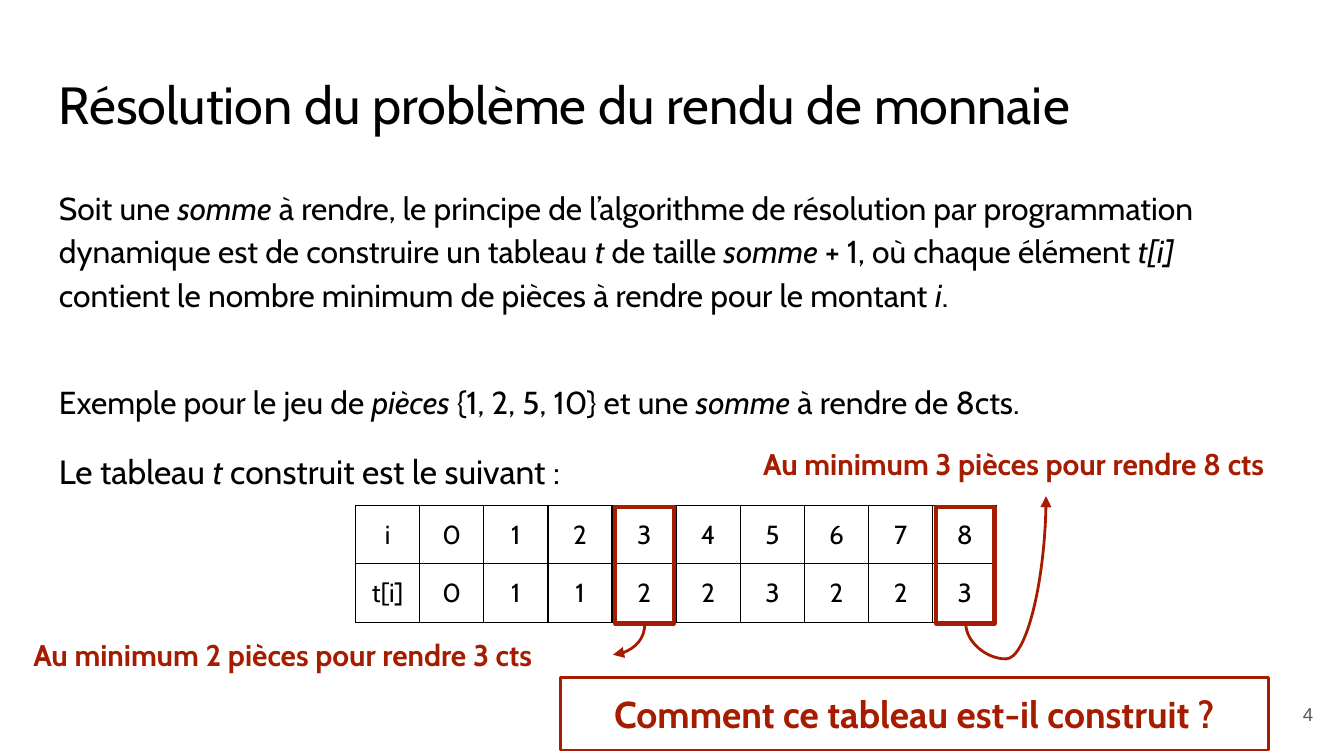
import pptx
import pptx.dml.color
import pptx.enum.shapes
import pptx.enum.text
import pptx.oxml
import pptx.oxml.ns
import pptx.util

Pt = pptx.util.Pt
ALIGN = pptx.enum.text.PP_ALIGN
ANCHOR = pptx.enum.text.MSO_ANCHOR
BLACK, RED, GREY = "000000", "A61C00", "595959"
NS = pptx.oxml.ns.nsdecls("a")
INSET = 7.2


def color(value):
    return pptx.dml.color.RGBColor.from_string(value)


def write(tf, text, size, fill=BLACK, font="Cabin", bold=None, paragraph=None,
          anchor=ANCHOR.TOP, margins=(INSET, INSET)):
    """Fill a text frame; parts between asterisks are italic."""
    side, edge = margins
    frame = {"word_wrap": True, "vertical_anchor": anchor,
             "margin_left": Pt(side), "margin_right": Pt(side),
             "margin_top": Pt(edge), "margin_bottom": Pt(edge)}
    for name, value in frame.items():
        setattr(tf, name, value)
    p = tf.paragraphs[0]
    for name, value in (paragraph or {}).items():
        setattr(p, name, value)
    for i, part in enumerate(text.split("*")):
        if not part:
            continue
        r = p.add_run()
        r.text = part
        style = {"name": font, "size": Pt(size), "bold": bold, "italic": i % 2 == 1}
        for name, value in style.items():
            setattr(r.font, name, value)
        r.font.color.rgb = color(fill)


def add_text(s, box, text, size, **style):
    sp = s.shapes.add_textbox(*map(Pt, box))
    write(sp.text_frame, text, size, **style)


def add_frame(s, box, weight):
    sp = s.shapes.add_shape(pptx.enum.shapes.MSO_SHAPE.RECTANGLE, *map(Pt, box))
    sp.shadow.inherit = False
    sp.fill.background()
    sp.line.color.rgb = color(RED)
    sp.line.width = Pt(weight)
    return sp


def add_curved_arrow(s, box, preset, turn, bend=None):
    """Draw a curved connector in a box that is then turned about its centre."""
    x, y, w, h = box
    c = s.shapes.add_connector(pptx.enum.shapes.MSO_CONNECTOR.CURVE,
                               Pt(x), Pt(y), Pt(x + w), Pt(y + h))
    c.line.color.rgb = color(RED)
    c.line.width = Pt(1.5)
    props = c._element.spPr
    props.find(pptx.oxml.ns.qn("a:xfrm")).set("rot", str(turn * 60000))
    geom = props.find(pptx.oxml.ns.qn("a:prstGeom"))
    geom.set("prst", preset)
    if bend is not None:
        guides = geom.find(pptx.oxml.ns.qn("a:avLst"))
        guides.append(pptx.oxml.parse_xml(f'<a:gd {NS} name="adj1" fmla="val {bend}"/>'))
    props.find(pptx.oxml.ns.qn("a:ln")).append(
        pptx.oxml.parse_xml(f'<a:tailEnd {NS} type="triangle"/>'))
    props.append(pptx.oxml.parse_xml(f"<a:effectLst {NS}/>"))


def border_cell(cell):
    tc_pr = cell._tc.get_or_add_tcPr()
    for i, side in enumerate(("lnL", "lnR", "lnT", "lnB")):
        tc_pr.insert(i, pptx.oxml.parse_xml(
            f'<a:{side} {NS} w="{Pt(0.75)}"><a:solidFill><a:srgbClr val="{BLACK}"/>'
            f"</a:solidFill></a:{side}>"))


def add_coin_table(s, box, rows, highlighted):
    x, y, w, h = box
    col_w, row_h = w / len(rows[0]), h / len(rows)
    table = s.shapes.add_table(len(rows), len(rows[0]), *map(Pt, box)).table
    table.first_row = table.horz_banding = False
    for col in table.columns:
        col.width = Pt(col_w)
    for r, values in enumerate(rows):
        table.rows[r].height = Pt(row_h)
        for c, value in enumerate(values):
            cell = table.cell(r, c)
            cell.fill.background()
            border_cell(cell)
            cell.vertical_anchor = ANCHOR.MIDDLE
            write(cell.text_frame, value, 14, paragraph={"alignment": ALIGN.CENTER},
                  anchor=ANCHOR.MIDDLE, margins=(INSET, INSET / 2))
    # Frames around the columns that are explained
    for c in highlighted:
        add_frame(s, (x + c * col_w + 1.7, y + 0.7, 31.4, h), 2.25)


def add_explanation(s, box):
    x, y, w, h = box
    spaced = {"line_spacing": 1.15, "space_after": Pt(12)}
    add_text(s, (x, y, w, 111.6),
             "Soit une *somme* à rendre, le principe de l’algorithme de résolution par "
             "programmation dynamique est de construire un tableau *t* de taille *somme* + 1, "
             "où chaque élément *t[i]* contient le nombre minimum de pièces à rendre pour "
             "le montant *i*.", 17, paragraph=spaced)
    add_text(s, (x, y + 104.4, w, 38.2),
             "Exemple pour le jeu de *pièces* {1, 2, 5, 10} et une *somme* à rendre de 8cts.",
             17, paragraph=spaced)
    add_text(s, (x, y + h - 39.6, w, 39.6),
             "Le tableau *t* construit est le suivant :", 18, paragraph=spaced)


def add_notes_on_table(s, box):
    x, y, w, h = box
    note_w, note_h = 316.8, 52.6
    add_text(s, (x, y + h - note_h, note_w, note_h),
             "Au minimum 2 pièces pour rendre 3 cts", 16, fill=RED, bold=True)
    add_text(s, (x + w - note_w, y, note_w, note_h),
             "Au minimum 3 pièces pour rendre 8 cts", 16, fill=RED, bold=True)
    add_curved_arrow(s, (x + 317.8, y + 102.2, 16.6, 17), "curvedConnector2", 90)
    add_curved_arrow(s, (x + 493.9, y + 46.7, 68.4, 43), "curvedConnector3", 270, -27500)


def add_question(s, box):
    sp = add_frame(s, box, 1.5)
    write(sp.text_frame, "Comment ce tableau est-il construit ?", 20, fill=RED, bold=True,
          paragraph={"alignment": ALIGN.CENTER}, anchor=ANCHOR.MIDDLE)


def main():
    prs = pptx.Presentation()
    prs.slide_width, prs.slide_height = Pt(720), Pt(405)
    s = prs.slides.add_slide(prs.slide_layouts[6])

    # Title and explanation
    add_text(s, (24.5, 35.3, 671, 45.4), "Résolution du problème du rendu de monnaie", 28,
             paragraph={"line_spacing": 0.9})
    add_explanation(s, (24.5, 90.7, 671, 180))

    # Table of minimum coin counts
    rows = [["i", *"012345678"], ["t[i]", *"011223223"]]
    add_coin_table(s, (190.5, 270.8, 343.6, 62.6), rows, highlighted=(4, 9))
    add_notes_on_table(s, (10.8, 231.8, 707.8, 154.9))

    # Closing question and slide number
    add_question(s, (300.2, 363, 379.4, 38.9))
    add_text(s, (667.4, 367.2, 43.2, 31), "4", 10, fill=GREY, font="Arial",
             paragraph={"alignment": ALIGN.RIGHT}, anchor=ANCHOR.MIDDLE)
    prs.save("out.pptx")


if __name__ == "__main__":
    main()
